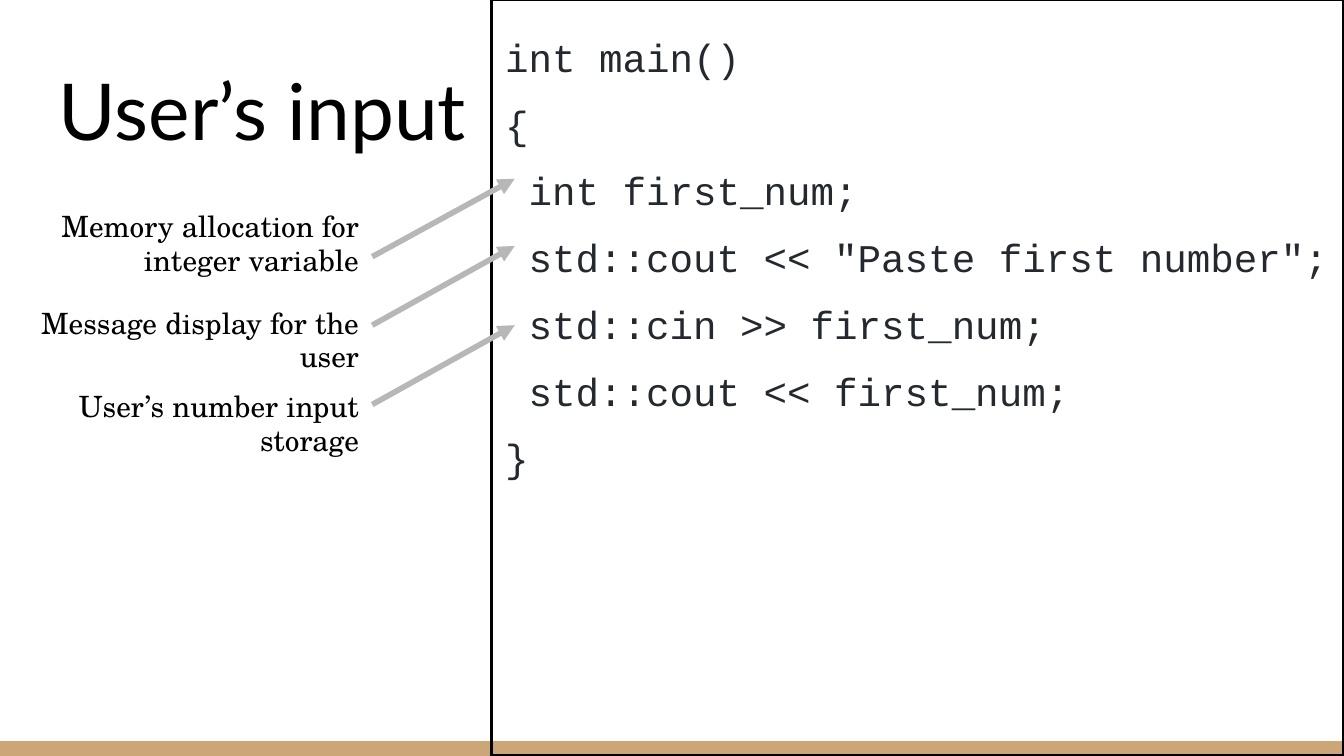
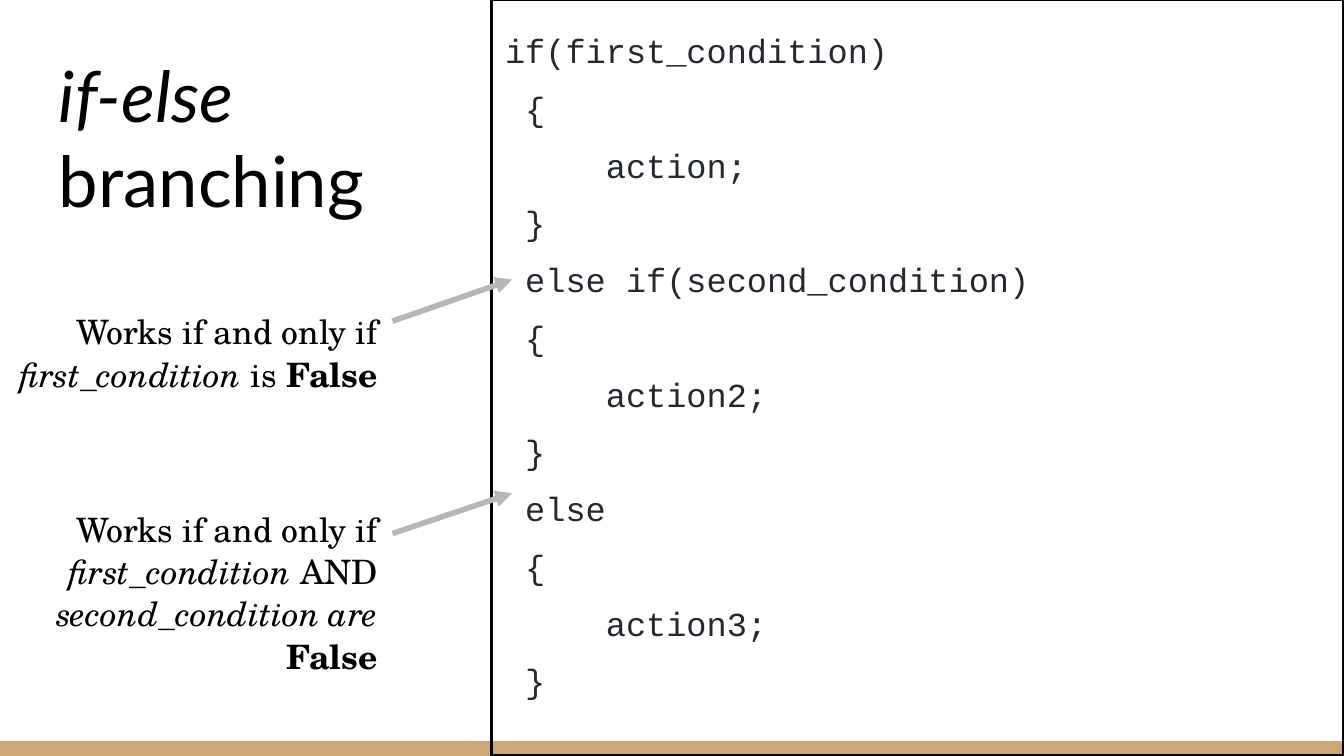
import pptx
import pptx.util
import pptx.dml.color
import pptx.enum.shapes
import pptx.enum.text
import pptx.oxml
import pptx.oxml.ns
import lxml.etree

Inches = pptx.util.Inches
Pt = pptx.util.Pt
ALIGN = pptx.enum.text.PP_ALIGN
ANCHOR = pptx.enum.text.MSO_ANCHOR

COLORS = {"background": "FFFFFF", "band": "CCA677", "text": "000000",
          "code": "24292F", "arrow": "B7B7B7"}
TITLE_FONT = "Lato"
NOTE_FONT = "TeX Gyre Schola"
CODE_FONT = "Courier New"
SLIDE_W = 10
SLIDE_H = SLIDE_W * 9 / 16
BAND_H = 0.11
CODE_LEFT = 3.66
CODE_BOX = (CODE_LEFT, 0, SLIDE_W - CODE_LEFT, SLIDE_H)
MONO_ADVANCE = 0.6

USER_INPUT = {
    "title": [("User’s input", "")],
    "title_box": (0.34, 0.35, 9.32, 0.91),
    "title_size": 42,
    "code": [(0, "int main()"), (0, "{"), (1, "int first_num;"),
             (1, 'std::cout << "Paste first number";'),
             (1, "std::cin >> first_num;"),
             (1, "std::cout << first_num;"), (0, "}")],
    "code_size": 21,
    "note_style": {"size": 15.7, "spacing": 0.95, "inset": 0.1},
    "notes": [
        ((0, 1.47, 2.77, 0.72), [("Memory allocation for integer variable", "")]),
        ((0, 2.19, 2.77, 0.72), [("Message display for the user", "")]),
        ((0, 2.81, 2.77, 0.72), [("User’s number input storage", "")]),
    ],
    "arrows": [(2.77, 1.91, 3.83, 1.33), (2.77, 2.42, 3.83, 1.83),
               (2.77, 3.01, 3.83, 2.42)],
}


def branch(column, condition, action):
    return [(column, condition), (1, "{"), (5, action), (1, "}")]


BRANCHING = {
    "title": [("if-else", "i"), (" branching", "")],
    "title_box": (0.34, 0.35, 3.22, 1.4),
    "title_size": 37.8,
    "code": (branch(0, "if(first_condition)", "action;")
             + branch(1, "else if(second_condition)", "action2;")
             + branch(1, "else", "action3;")),
    "code_size": 18,
    "note_style": {"size": 18, "spacing": 1.05, "inset": 0.45},
    "notes": [
        ((-0.4, 2.2, 3.31, 0.82),
         [("Works if and only if ", ""), ("first_condition ", "i"),
          ("is ", ""), ("False", "b")]),
        ((-0.4, 3.67, 3.31, 1.5),
         [("Works if and only if ", ""), ("first_condition ", "i"),
          ("AND ", ""), ("second_condition are ", "i"), ("False", "b")]),
    ],
    "arrows": [(2.92, 2.39, 3.81, 2.08), (2.92, 3.97, 3.81, 3.67)],
}


def rgb(name):
    return pptx.dml.color.RGBColor.from_string(COLORS[name])


def inches(box):
    return [Inches(length) for length in box]


def prepare_frame(frame, anchor=ANCHOR.TOP, left_inset=0.1):
    frame.word_wrap = True
    frame.vertical_anchor = anchor
    frame.margin_left = Inches(left_inset)
    frame.margin_right = frame.margin_top = frame.margin_bottom = Inches(0.1)


def add_runs(paragraph, pieces, font, size, color):
    for text, style in pieces:
        run = paragraph.add_run()
        run.text = text
        run.font.name = font
        run.font.size = Pt(size)
        run.font.color.rgb = rgb(color)
        run.font.italic = "i" in style
        run.font.bold = "b" in style


def add_rectangle(slide, box):
    rectangle = slide.shapes.add_shape(
        pptx.enum.shapes.MSO_SHAPE.RECTANGLE, *inches(box))
    rectangle.shadow.inherit = False
    return rectangle


def add_band(slide):
    band = add_rectangle(slide, (0, SLIDE_H - BAND_H, SLIDE_W, BAND_H))
    band.fill.solid()
    band.fill.fore_color.rgb = rgb("band")
    band.line.fill.background()


def add_title(slide, box, pieces, size):
    frame = slide.shapes.add_textbox(*inches(box)).text_frame
    prepare_frame(frame, ANCHOR.BOTTOM)
    add_runs(frame.paragraphs[0], pieces, TITLE_FONT, size, "text")


def add_code(slide, box, lines, size):
    panel = add_rectangle(slide, box)
    panel.fill.background()
    panel.line.color.rgb = rgb("text")
    panel.line.width = Pt(1.5)
    frame = panel.text_frame
    prepare_frame(frame)
    for index, (column, code) in enumerate(lines):
        paragraph = frame.paragraphs[0] if index == 0 else frame.add_paragraph()
        paragraph.alignment = ALIGN.LEFT
        paragraph.line_spacing = 1.42
        indent = Pt(column * MONO_ADVANCE * size)
        paragraph._p.get_or_add_pPr().set("marL", str(int(indent)))
        add_runs(paragraph, [(code, "")], CODE_FONT, size, "code")


def add_note(slide, box, pieces, size, spacing, inset):
    frame = slide.shapes.add_textbox(*inches(box)).text_frame
    prepare_frame(frame, left_inset=inset)
    paragraph = frame.paragraphs[0]
    paragraph.alignment = ALIGN.RIGHT
    paragraph.line_spacing = spacing
    paragraph.space_after = Pt(12)
    add_runs(paragraph, pieces, NOTE_FONT, size, "text")


def add_arrow(slide, ends):
    arrow = slide.shapes.add_connector(
        pptx.enum.shapes.MSO_CONNECTOR.STRAIGHT, *inches(ends))
    arrow.line.color.rgb = rgb("arrow")
    arrow.line.width = Pt(3)
    qn = pptx.oxml.ns.qn
    head = lxml.etree.SubElement(arrow.line._get_or_add_ln(), qn("a:tailEnd"))
    head.set("type", "triangle")
    lxml.etree.SubElement(arrow._element.spPr, qn("a:effectLst"))


def add_code_slide(deck, content):
    slide = deck.slides.add_slide(deck.slide_layouts[6])
    slide.background.fill.solid()
    slide.background.fill.fore_color.rgb = rgb("background")
    add_band(slide)
    add_title(slide, content["title_box"], content["title"], content["title_size"])
    add_code(slide, CODE_BOX, content["code"], content["code_size"])
    for ends in content["arrows"]:
        add_arrow(slide, ends)
    for box, pieces in content["notes"]:
        add_note(slide, box, pieces, **content["note_style"])


def main():
    deck = pptx.Presentation()
    deck.slide_width = Inches(SLIDE_W)
    deck.slide_height = Inches(SLIDE_H)
    for content in (USER_INPUT, BRANCHING):
        add_code_slide(deck, content)
    deck.save("out.pptx")


if __name__ == "__main__":
    main()
